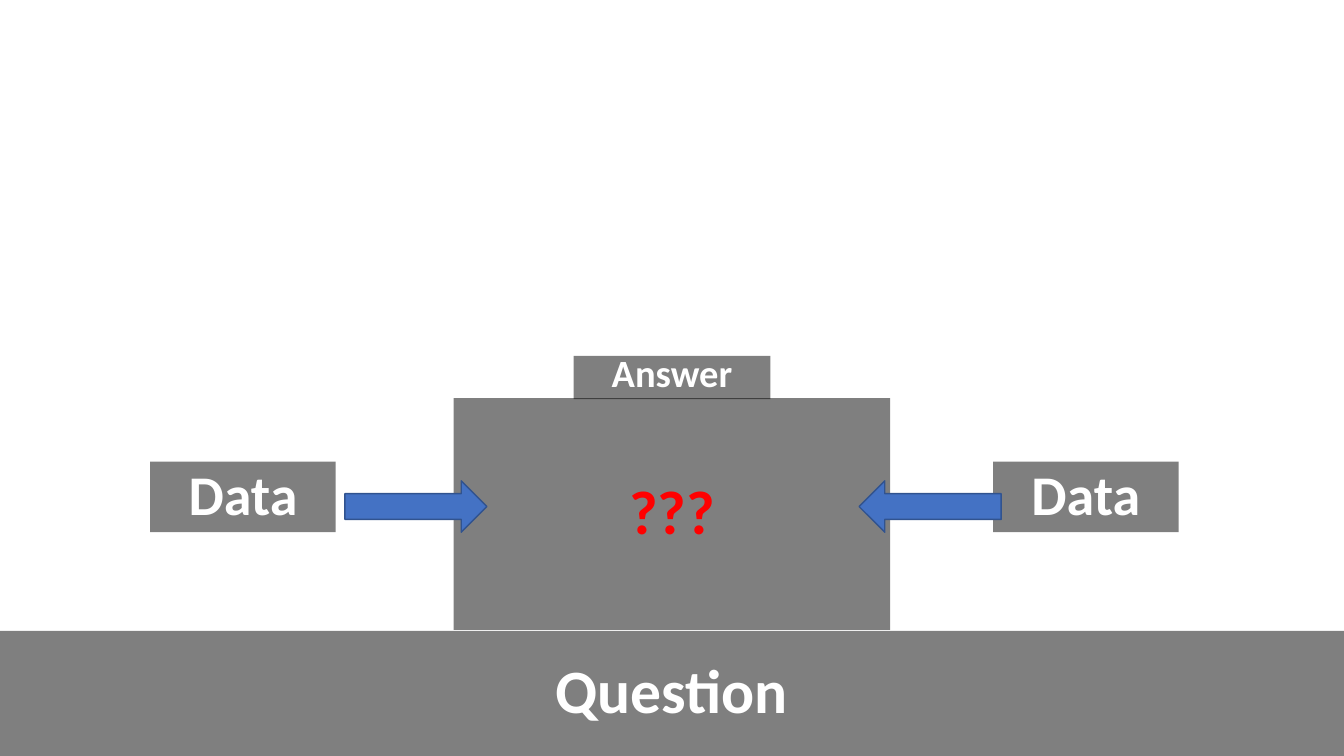
from lxml import etree
from pptx import Presentation
from pptx import util as u
from pptx.dml.color import RGBColor
from pptx.enum import shapes, text
from pptx.oxml.ns import qn

COLORS = {
    "block": "000000",
    "label": "FFFFFF",
    "unknown": "FF0000",
    "arrow": "4472C4",
    "arrow_edge": "31538F",
}


class SlideBuilder:
    font_name = "Calibri"
    block_alpha = 50

    def __init__(self, slide):
        self.slide = slide

    def add_shape(self, kind, box, color):
        shape = self.slide.shapes.add_shape(kind, *map(u.Inches, box))
        shape.shadow.inherit = False
        shape.fill.solid()
        shape.fill.fore_color.rgb = RGBColor.from_string(COLORS[color])
        return shape

    def block(self, label, box, size, color="label", spacing=0.9):
        shape = self.add_shape(shapes.MSO_SHAPE.RECTANGLE, box, "block")
        shape.line.fill.background()
        fill_color = shape.fill._xPr.find(qn("a:solidFill"))[0]
        alpha = etree.SubElement(fill_color, qn("a:alpha"))
        alpha.set("val", str(self.block_alpha * 1000))

        frame = shape.text_frame
        frame.text = label
        frame.word_wrap = True
        frame.vertical_anchor = text.MSO_ANCHOR.MIDDLE
        paragraph = frame.paragraphs[0]
        paragraph.alignment = text.PP_ALIGN.CENTER
        paragraph.line_spacing = spacing
        font = paragraph.runs[0].font
        font.name = self.font_name
        font.size = u.Pt(size)
        font.bold = True
        font.color.rgb = RGBColor.from_string(COLORS[color])

    def arrow(self, box, rotation):
        shape = self.add_shape(shapes.MSO_SHAPE.RIGHT_ARROW, box, "arrow")
        shape.rotation = rotation
        shape.line.color.rgb = RGBColor.from_string(COLORS["arrow_edge"])
        shape.line.width = u.Pt(1)


def main():
    presentation = Presentation()
    presentation.slide_width = u.Inches(13.33)
    presentation.slide_height = u.Inches(7.5)
    slide = presentation.slides.add_slide(presentation.slide_layouts[6])
    builder = SlideBuilder(slide)

    builder.block("Question", (0, 6.26, 13.33, 1.24), 44)
    builder.block("Answer", (5.69, 3.53, 1.95, 0.43), 27.5, spacing=0.7)
    builder.block("???", (4.5, 3.95, 4.33, 2.3), 44, color="unknown")
    for left in (1.49, 9.85):
        builder.block("Data", (left, 4.58, 1.84, 0.7), 40)
    for left, rotation in ((3.42, 0), (8.52, 180)):
        builder.arrow((left, 4.77, 1.41, 0.51), rotation)

    presentation.save("out.pptx")


if __name__ == "__main__":
    main()
